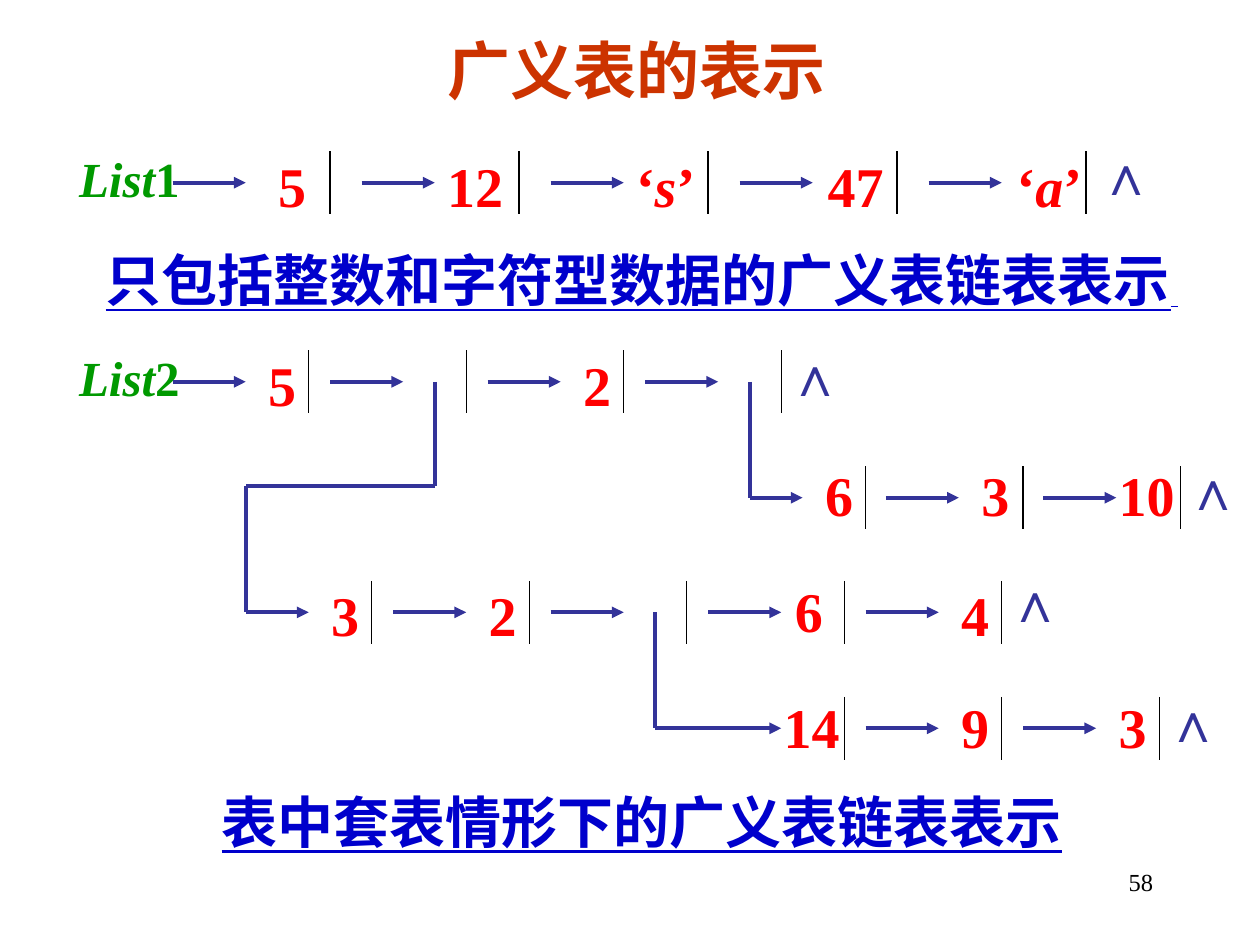
from lxml import etree
from pptx import Presentation
from pptx.dml.color import RGBColor
from pptx.enum import shapes, text
from pptx.oxml import ns
from pptx.util import Inches, Pt

BLACK = RGBColor(0x00, 0x00, 0x00)
RUST = RGBColor(0xCC, 0x33, 0x00)
BLUE = RGBColor(0x00, 0x00, 0xCC)
INDIGO = RGBColor(0x33, 0x33, 0x99)
RED = RGBColor(0xFF, 0x00, 0x00)
GREEN = RGBColor(0x00, 0x99, 0x00)
LATIN = "Times New Roman"
CHINESE = "Noto Sans CJK SC"

CAPTION = {"name": CHINESE, "size": Pt(32), "bold": True, "underline": True, "color": BLUE}
VALUE = {"name": LATIN, "size": Pt(32), "bold": True, "color": RED}
END_MARK = {**VALUE, "color": INDIGO}
LABEL = {"name": LATIN, "size": Pt(28), "bold": True, "color": GREEN}
UPRIGHT = {"italic": False}
ITALIC = {"italic": True}


def write(shape, box, runs, style, wrap=True):
    shape.left, shape.top, shape.width, shape.height = map(Inches, box)
    frame = shape.text_frame
    frame.word_wrap = wrap
    frame.auto_size = text.MSO_AUTO_SIZE.SHAPE_TO_FIT_TEXT
    frame.vertical_anchor = text.MSO_ANCHOR.TOP
    paragraph = frame.paragraphs[0]
    paragraph.alignment = text.PP_ALIGN.LEFT
    for content, changes in runs:
        run = paragraph.add_run()
        run.text = content
        for key, value in {**style, **changes}.items():
            if key == "color":
                run.font.color.rgb = value
            else:
                setattr(run.font, key, value)
        east_asian = etree.SubElement(run.font._element, ns.qn("a:ea"))
        east_asian.set("typeface", style["name"])
    return paragraph


def draw_line(start, end, color=INDIGO, width=2.25, arrow=False):
    line = slide.shapes.add_connector(
        shapes.MSO_CONNECTOR.STRAIGHT, *map(Inches, (*start, *end)))
    line.line.color.rgb = color
    line.line.width = Pt(width)
    if arrow:
        etree.SubElement(line.line._get_or_add_ln(), ns.qn("a:tailEnd")).set("type", "triangle")
    etree.SubElement(line._element.spPr, ns.qn("a:effectLst"))


presentation = Presentation()
presentation.slide_width = Inches(10)
presentation.slide_height = Inches(7.5)
slide = presentation.slides.add_slide(presentation.slide_layouts[5])

write(slide.shapes.title, (3.45, 0.2, 3.42, 0.7), [("广义表的表示", {})],
      {"name": CHINESE, "size": Pt(36), "bold": True, "color": RUST})

text_items = [
    ((0.74, 1.9, 8.96, 0.63),
     [("只包括整数和字符型数据的广义表链表表示", {}), (" ", {"size": Pt(19), "bold": False})],
     CAPTION, True),
    ((1.66, 6.2, 7.21, 0.63), [("表中套表情形下的广义表链表表示", {})], CAPTION, True),
    ((0.53, 1.13, 1, 0.57), [("List", ITALIC), ("1", UPRIGHT)], LABEL, False),
    ((0.53, 2.71, 1, 0.57), [("List", ITALIC), ("2", UPRIGHT)], LABEL, False),
    ((4.95, 1.15, 0.67, 0.63), [("‘", {}), ("s", ITALIC), ("’", UPRIGHT)], VALUE, False),
    ((7.97, 1.15, 0.72, 0.63), [("‘", {}), ("a", ITALIC), ("’", UPRIGHT)], VALUE, False),
    ((6.21, 4.53, 0.47, 0.63), [("6", {})], VALUE, True),
]
for box, runs, style, wrap in text_items:
    write(slide.shapes.add_textbox(0, 0, 0, 0), box, runs, style, wrap)

chains = [
    {"middle": 1.45, "pitch": 1.5, "divider": 2.62, "cells": 5, "arrow": 1.37, "arrows": 5,
     "value_top": 1.15, "values": [(2.11, "5"), (3.45, "12"), (6.47, "47")],
     "end": (8.62, 1.06)},
    {"middle": 3.03, "pitch": 1.25, "divider": 2.45, "cells": 4, "arrow": 1.37, "arrows": 4,
     "value_top": 2.73, "values": [(2.03, "5"), (4.53, "2")], "end": (6.15, 2.65)},
    {"middle": 3.95, "pitch": 1.25, "divider": 6.87, "cells": 3, "arrow": 7.03, "arrows": 2,
     "value_top": 3.61, "values": [(6.45, "6"), (7.69, "3"), (8.78, "10")],
     "end": (9.31, 3.56)},
    {"middle": 4.86, "pitch": 1.25, "divider": 2.95, "cells": 5, "arrow": 3.12, "arrows": 4,
     "value_top": 4.56, "values": [(2.53, "3"), (3.78, "2"), (7.53, "4")],
     "end": (7.9, 4.45)},
    {"middle": 5.78, "pitch": 1.25, "divider": 6.7, "cells": 3, "arrow": 6.87, "arrows": 2,
     "value_top": 5.45, "values": [(6.12, "14"), (7.53, "9"), (8.78, "3")],
     "end": (9.15, 5.4)},
]
for chain in chains:
    middle, pitch = chain["middle"], chain["pitch"]
    for index in range(chain["cells"]):
        x = chain["divider"] + index * pitch
        draw_line((x, middle - 0.25), (x, middle + 0.25), BLACK, 0.75)
    for index in range(chain["arrows"]):
        x = chain["arrow"] + index * pitch
        draw_line((x, middle), (x + 0.58, middle), arrow=True)
    for left, value in chain["values"]:
        width = 0.42 if len(value) == 1 else 0.65
        write(slide.shapes.add_textbox(0, 0, 0, 0), (left, chain["value_top"], width, 0.63),
              [(value, {})], VALUE, False)
    write(slide.shapes.add_textbox(0, 0, 0, 0), (*chain["end"], 0.47, 0.63),
          [("∧", {})], END_MARK, False)

sublist_routes = [
    [(3.45, 3.03), (3.45, 3.86), (1.95, 3.86), (1.95, 4.86), (2.45, 4.86)],
    [(5.95, 3.03), (5.95, 3.95), (6.37, 3.95)],
    [(5.2, 4.86), (5.2, 5.78), (6.2, 5.78)],
]
for route in sublist_routes:
    for start, end in zip(route, route[1:]):
        draw_line(start, end, arrow=end == route[-1])

page_number = write(slide.shapes.add_textbox(0, 0, 0, 0), (7.17, 6.83, 2.08, 0.5),
                    [("58", {})], {"name": LATIN, "size": Pt(14), "color": BLACK})
page_number.alignment = text.PP_ALIGN.RIGHT

presentation.save("out.pptx")
